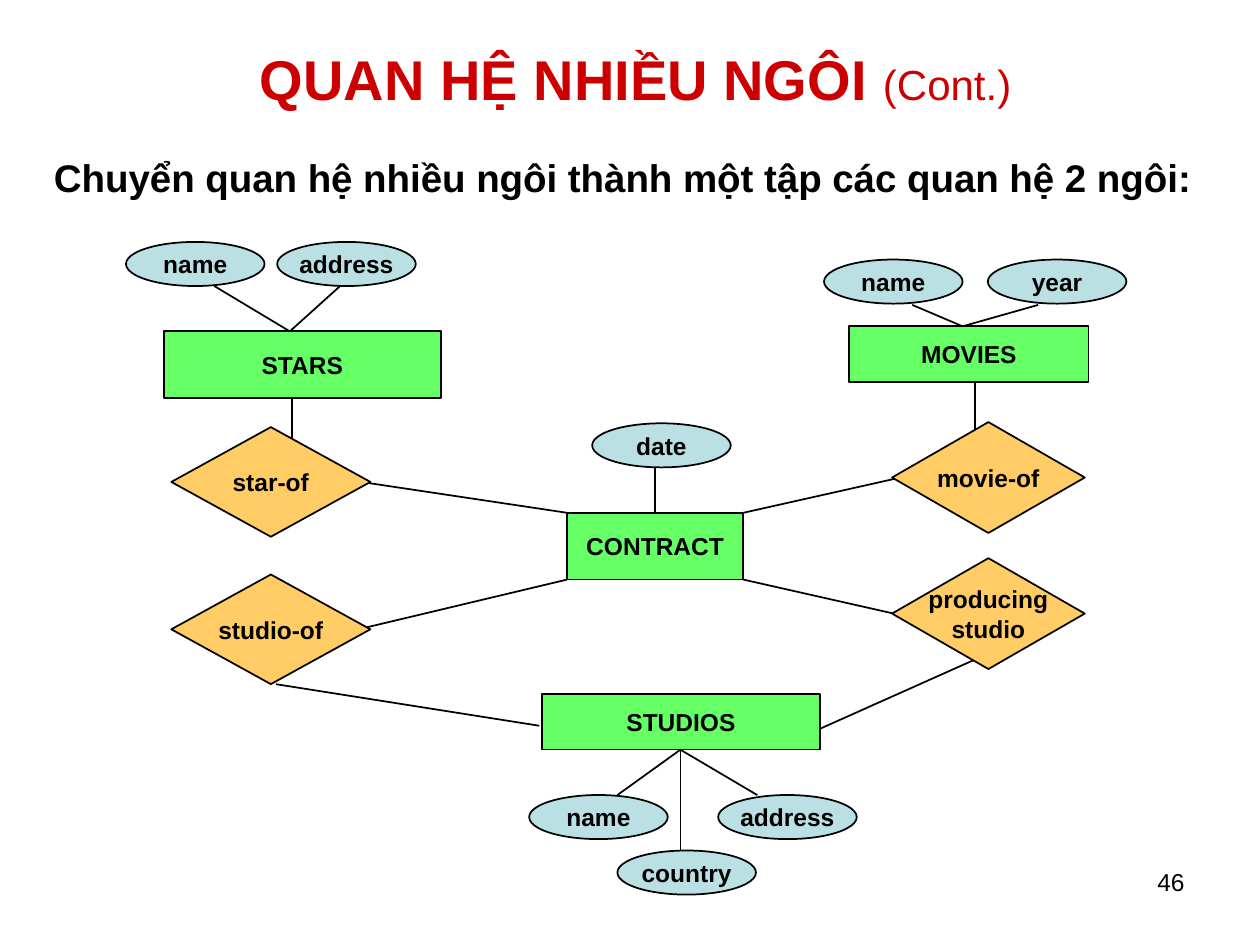
from typing import NamedTuple

import pptx
import pptx.dml.color
import pptx.enum.shapes
import pptx.enum.text
import pptx.oxml
import pptx.oxml.ns
import pptx.util

Inches = pptx.util.Inches
Pt = pptx.util.Pt
Shape = pptx.enum.shapes.MSO_SHAPE
Align = pptx.enum.text.PP_ALIGN
Anchor = pptx.enum.text.MSO_ANCHOR

FONT = "Arial"
BLACK = "000000"
RED = "CC0000"


class Kind(NamedTuple):
    """Preset shape and fill of one part of an entity-relationship diagram."""
    preset: Shape
    fill: str


class Node(NamedTuple):
    kind: Kind
    text: str
    left: float
    top: float
    width: float
    height: float


class Link(NamedTuple):
    x1: float
    y1: float
    x2: float
    y2: float


ENTITY = Kind(Shape.RECTANGLE, "66FF66")
ATTRIBUTE = Kind(Shape.OVAL, "BBE0E3")
RELATIONSHIP = Kind(Shape.DIAMOND, "FFCC66")


def attribute(text: str, left: float, top: float) -> Node:
    return Node(ATTRIBUTE, text, left, top, 1.1, 0.35)


NODES = [
    # Entities
    Node(ENTITY, "STARS", 1.3, 2.63, 2.2, 0.53),
    Node(ENTITY, "MOVIES", 6.74, 2.59, 1.9, 0.44),
    Node(ENTITY, "CONTRACT", 4.5, 4.07, 1.4, 0.53),
    Node(ENTITY, "STUDIOS", 4.3, 5.51, 2.21, 0.44),
    # Attributes
    attribute("name", 1, 1.92),
    attribute("address", 2.2, 1.92),
    attribute("name", 6.54, 2.06),
    attribute("year", 7.84, 2.06),
    attribute("date", 4.7, 3.36),
    attribute("name", 4.2, 6.31),
    attribute("address", 5.7, 6.31),
    attribute("country", 4.9, 6.75),
    # Relationships
    Node(RELATIONSHIP, "star-of", 1.36, 3.39, 1.58, 0.87),
    Node(RELATIONSHIP, "studio-of", 1.36, 4.56, 1.58, 0.87),
    Node(RELATIONSHIP, "movie-of", 7.08, 3.35, 1.53, 0.88),
    Node(RELATIONSHIP, "producing\nstudio", 7.08, 4.43, 1.53, 0.88),
]

LINKS = [
    # Entities to their attributes
    Link(2.3, 2.63, 1.7, 2.27),
    Link(2.3, 2.63, 2.7, 2.27),
    Link(7.64, 2.59, 7.24, 2.42),
    Link(7.64, 2.59, 8.24, 2.42),
    Link(5.2, 4.07, 5.2, 3.71),
    Link(5.4, 5.95, 4.9, 6.31),
    Link(5.4, 5.95, 6.01, 6.31),
    Link(5.4, 5.95, 5.4, 6.75),
    # Entities to relationships
    Link(2.32, 3.16, 2.32, 3.51),
    Link(7.74, 3.04, 7.74, 3.48),
    Link(4.5, 4.07, 2.7, 3.8),
    Link(5.9, 4.07, 7.28, 3.76),
    Link(4.5, 4.6, 2.78, 5.01),
    Link(5.9, 4.6, 7.36, 4.93),
    Link(4.28, 5.76, 2.19, 5.43),
    Link(6.36, 5.85, 7.86, 5.18),
]


def color(value: str) -> pptx.dml.color.RGBColor:
    return pptx.dml.color.RGBColor.from_string(value)


def format_run(run, size: float, value: str = BLACK, bold: bool = False) -> None:
    run.font.name = FONT
    run.font.size = Pt(size)
    run.font.bold = bold
    run.font.color.rgb = color(value)


def set_text(text_frame, text: str, size: float, bold: bool, alignment: Align) -> None:
    text_frame.text = text
    for paragraph in text_frame.paragraphs:
        paragraph.alignment = alignment
        for run in paragraph.runs:
            format_run(run, size, bold=bold)


def set_outline(line) -> None:
    line.color.rgb = color(BLACK)
    line.width = Pt(1)


def draw_link(slide, link: Link) -> None:
    connector = slide.shapes.add_connector(
        pptx.enum.shapes.MSO_CONNECTOR.STRAIGHT, *map(Inches, link))
    set_outline(connector.line)
    properties = connector._element.spPr
    properties.append(pptx.oxml.parse_xml(
        f"<a:effectLst {pptx.oxml.ns.nsdecls('a')}/>"))


def draw_node(slide, node: Node) -> None:
    shape = slide.shapes.add_shape(
        node.kind.preset, Inches(node.left), Inches(node.top),
        Inches(node.width), Inches(node.height))
    shape.shadow.inherit = False
    shape.fill.solid()
    shape.fill.fore_color.rgb = color(node.kind.fill)
    set_outline(shape.line)
    shape.text_frame.word_wrap = False
    shape.text_frame.vertical_anchor = Anchor.MIDDLE
    set_text(shape.text_frame, node.text, 14, True, Align.CENTER)


def add_label(slide, text: str, left: float, top: float, width: float,
              height: float, size: float, bold: bool, alignment: Align) -> None:
    box = slide.shapes.add_textbox(
        Inches(left), Inches(top), Inches(width), Inches(height))
    box.text_frame.word_wrap = True
    set_text(box.text_frame, text, size, bold, alignment)


def set_title(slide) -> None:
    title = slide.shapes.title
    title.left, title.top = Inches(0.17), Inches(0.08)
    title.width, title.height = Inches(9.75), Inches(1)
    title.text_frame.vertical_anchor = Anchor.MIDDLE
    paragraph = title.text_frame.paragraphs[0]
    paragraph.alignment = Align.CENTER
    paragraph.line_spacing = 1.15
    for text, size, bold in (("QUAN HỆ NHIỀU NGÔI ", 32, True), ("(Cont.)", 24, False)):
        run = paragraph.add_run()
        run.text = text
        format_run(run, size, RED, bold)


def main() -> None:
    presentation = pptx.Presentation()
    presentation.slide_width, presentation.slide_height = Inches(10), Inches(7.5)
    slide = presentation.slides.add_slide(presentation.slide_layouts[5])

    # Heading, introduction and page number
    set_title(slide)
    add_label(slide, "Chuyển quan hệ nhiều ngôi thành một tập các quan hệ 2 ngôi:",
              0.33, 1.17, 9.42, 0.58, 22, True, Align.LEFT)
    add_label(slide, "46", 7.17, 6.83, 2.33, 0.52, 14, False, Align.RIGHT)

    # Diagram: links lie behind the nodes
    for link in LINKS:
        draw_link(slide, link)
    for node in NODES:
        draw_node(slide, node)

    presentation.save("out.pptx")


if __name__ == "__main__":
    main()
